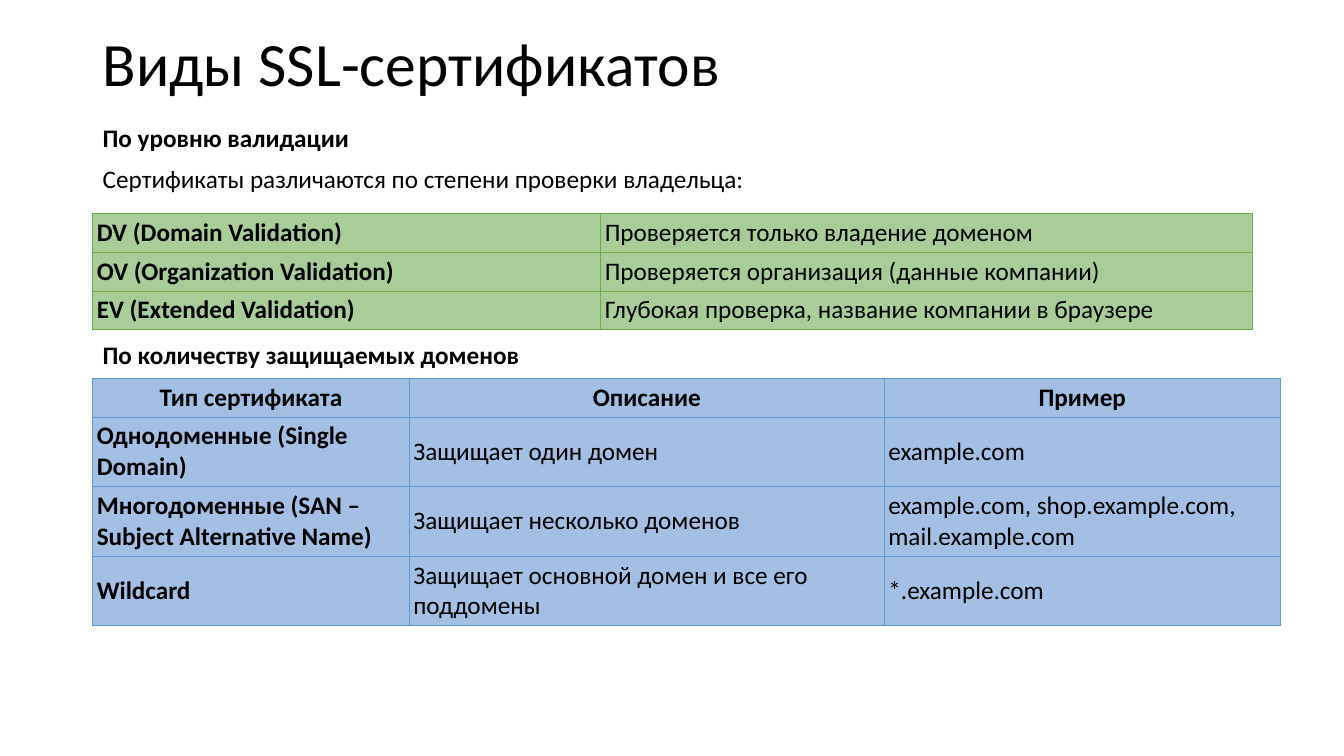
from lxml.etree import SubElement
from pptx import Presentation
from pptx.dml.color import RGBColor
from pptx.enum.text import MSO_ANCHOR, PP_ALIGN
from pptx.oxml.ns import qn
from pptx.util import Pt

THEME = {
    "font": "Calibri", "text": "000000", "title": 44, "body": 18,
    "green": ("A9CD99", "70AD47"), "blue": ("A3C0E4", "5B9BD5"),
}
LEFT, WIDTH = 66.24, 828
LINE, MARGIN = 22, 2.88
BORDER = 0.5

# box (left, top, width, height), format of the frame, format of paragraphs, lines (text, size, bold)
TEXTS = [
    ((LEFT, 14.4, WIDTH, 66.24), {"vertical_anchor": MSO_ANCHOR.MIDDLE}, {"line_spacing": 0.9},
     [("Виды SSL-сертификатов", "title", False)]),
    ((LEFT, 86.4, WIDTH, 57.6), {}, {"line_spacing": 0.9, "space_before": Pt(10)},
     [("По уровню валидации", "body", True),
      ("Сертификаты различаются по степени проверки владельца:", "body", False)]),
    ((LEFT, 239.04, 480, 29), {}, {},
     [("По количеству защищаемых доменов", "body", True)]),
]
TABLES = [
    {"top": 152.3, "colours": "green", "columns": (362.9, 465.1), "header": False,
     "lines": (1, 1, 1), "rows": [
         ("DV (Domain Validation)", "Проверяется только владение доменом"),
         ("OV (Organization Validation)", "Проверяется организация (данные компании)"),
         ("EV (Extended Validation)", "Глубокая проверка, название компании в браузере")]},
    {"top": 270, "colours": "blue", "columns": (226.2, 339.3, 282.8), "header": True,
     "lines": (1, 2, 2, 2), "rows": [
         ("Тип сертификата", "Описание", "Пример"),
         ("Однодоменные (Single Domain)", "Защищает один домен", "example.com"),
         ("Многодоменные (SAN – Subject Alternative Name)", "Защищает несколько доменов",
          "example.com, shop.example.com, mail.example.com"),
         ("Wildcard", "Защищает основной домен и все его поддомены", "*.example.com")]},
]


def set_all(target, values):
    for name, value in values.items():
        setattr(target, name, value)


def add_run(p, text, size, bold):
    r = p.add_run()
    r.text = text
    set_all(r.font, {"name": THEME["font"], "size": Pt(THEME[size]), "bold": bold})
    r.font.color.rgb = RGBColor.from_string(THEME["text"])


def add_text(s, box, frame, paragraph, lines):
    tf = s.shapes.add_textbox(*map(Pt, box)).text_frame
    set_all(tf, {"word_wrap": True, **frame})
    for i, line in enumerate(lines):
        p = tf.add_paragraph() if i else tf.paragraphs[0]
        set_all(p, paragraph)
        add_run(p, *line)


def style_cell(cell, fill, border):
    set_all(cell, {"vertical_anchor": MSO_ANCHOR.MIDDLE,
                   **{f"margin_{side}": Pt(MARGIN) for side in ("left", "right", "top", "bottom")}})
    tc_pr = cell._tc.get_or_add_tcPr()
    for side in ("lnL", "lnR", "lnT", "lnB"):
        ln = SubElement(tc_pr, qn(f"a:{side}"), w=str(Pt(BORDER)))
        SubElement(SubElement(ln, qn("a:solidFill")), qn("a:srgbClr"), val=border)
    cell.fill.solid()
    cell.fill.fore_color.rgb = RGBColor.from_string(fill)


def add_grid(s, top, colours, columns, header, lines, rows):
    heights = [n * LINE + 2 * MARGIN for n in lines]
    table = s.shapes.add_table(len(rows), len(columns), Pt(LEFT), Pt(top),
                               Pt(sum(columns)), Pt(sum(heights))).table
    set_all(table, {"first_row": header, "horz_banding": False})
    for column, width in zip(table.columns, columns):
        column.width = Pt(width)
    for i, (row, height) in enumerate(zip(rows, heights)):
        table.rows[i].height = Pt(height)
        for j, text in enumerate(row):
            cell = table.cell(i, j)
            style_cell(cell, *THEME[colours])
            in_header = header and i == 0
            p = cell.text_frame.paragraphs[0]
            p.alignment = PP_ALIGN.CENTER if in_header else PP_ALIGN.LEFT
            add_run(p, text, "body", in_header or j == 0)


def main():
    prs = Presentation()
    set_all(prs, {"slide_width": Pt(960), "slide_height": Pt(540)})
    s = prs.slides.add_slide(prs.slide_layouts[6])
    for text in TEXTS:
        add_text(s, *text)
    for table in TABLES:
        add_grid(s, **table)
    prs.save("out.pptx")


if __name__ == "__main__":
    main()
